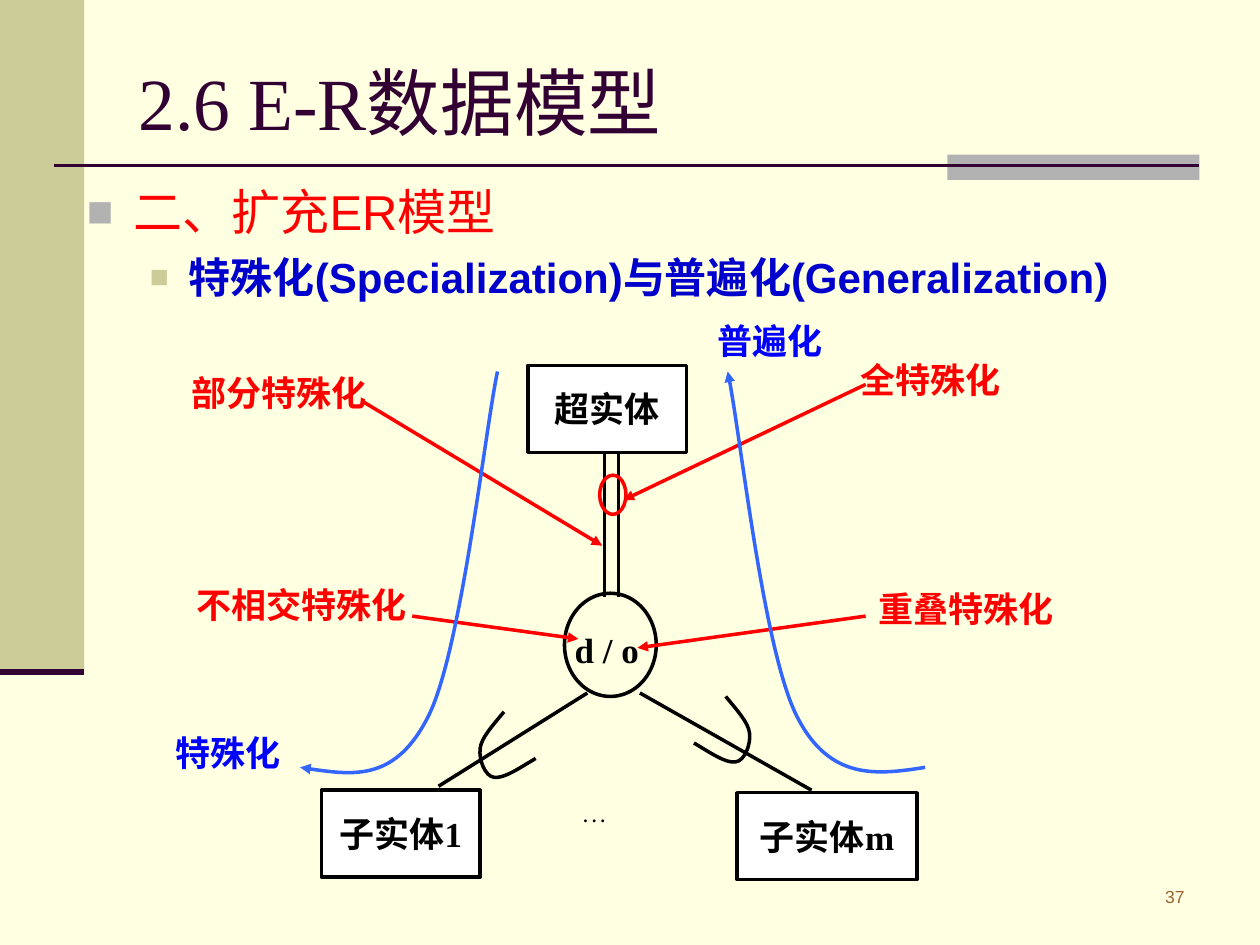
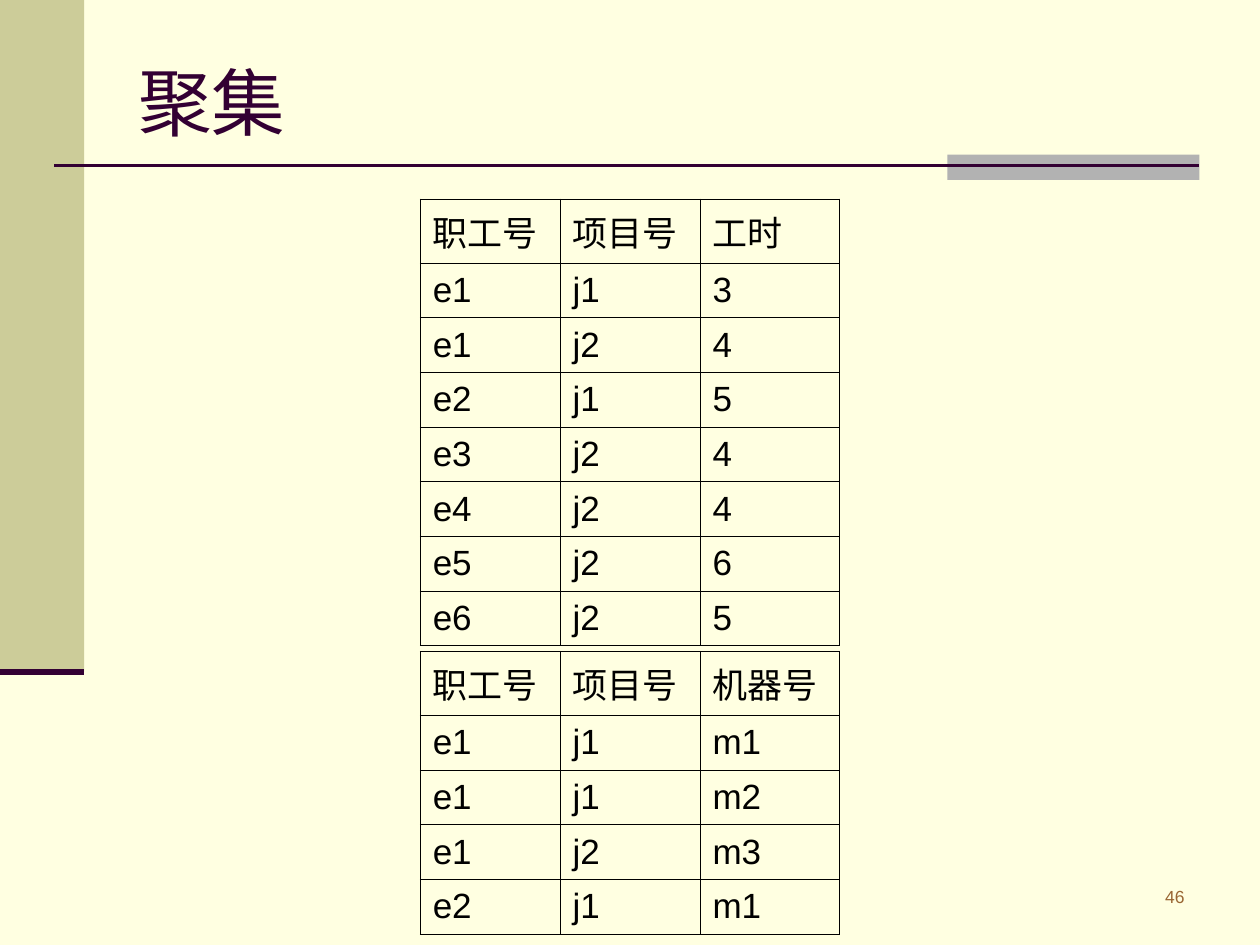
import dataclasses
from typing import Optional

import pptx
import pptx.dml.color
import pptx.enum.shapes
import pptx.enum.text
import pptx.oxml
import pptx.oxml.ns
import pptx.shapes.base
import pptx.slide
import pptx.text.text
import pptx.util
from lxml import etree

Cm = pptx.util.Cm
Pt = pptx.util.Pt
qn = pptx.oxml.ns.qn
ALIGN = pptx.enum.text.PP_ALIGN
ANCHOR = pptx.enum.text.MSO_ANCHOR
SHAPE = pptx.enum.shapes.MSO_SHAPE
Point = tuple[float, float]

COLORS = {
    "paper": "FFFFE1", "band": "CCCC99", "tab": "B2B2B2", "plum": "330033",
    "page": "996633", "red": "FF0000", "navy": "0000CC", "blue": "0000FF",
    "curve": "3366FF", "black": "000000", "white": "FFFFFF",
}
SANS, SERIF = "Arial", "Times New Roman"
STROKE = 2
BOX_HEIGHT = 1.75


@dataclasses.dataclass(frozen=True)
class Box:
    left: float
    top: float
    width: float
    height: float = BOX_HEIGHT

    def emu(self) -> tuple:
        return Cm(self.left), Cm(self.top), Cm(self.width), Cm(self.height)


@dataclasses.dataclass(frozen=True)
class Style:
    size: float
    color: str
    font: str = SERIF
    bold: bool = False
    align: Optional[ALIGN] = None
    anchor: ANCHOR = ANCHOR.TOP


@dataclasses.dataclass(frozen=True)
class Label:
    text: str
    box: Box
    style: Style


@dataclasses.dataclass(frozen=True)
class Line:
    start: Point
    end: Point
    color: str = "black"
    width: float = STROKE
    arrow: bool = False


@dataclasses.dataclass(frozen=True)
class Bullet:
    text: str
    style: Style
    color: str
    percent: int
    margin: float
    hanging: float
    before: float = 0


TITLE = Style(42, "plum", anchor=ANCHOR.MIDDLE)
PAGE = Style(10, "page", SANS, align=ALIGN.RIGHT)
ENTITY = Style(20, "black", bold=True, align=ALIGN.CENTER, anchor=ANCHOR.MIDDLE)
KIND = Style(20, "red", bold=True, align=ALIGN.CENTER)
PROCESS = dataclasses.replace(KIND, color="blue")
DOTS = Style(10, "black", bold=True, align=ALIGN.JUSTIFY)
CELL = Style(20, "black", SANS, anchor=ANCHOR.MIDDLE)


# Basic drawing helpers
def rgb(name: str) -> pptx.dml.color.RGBColor:
    return pptx.dml.color.RGBColor.from_string(COLORS[name])


def style_paragraph(p: pptx.text.text._Paragraph, style: Style) -> None:
    if style.align is not None:
        p.alignment = style.align
    for r in p.runs:
        r.font.name = style.font
        r.font.size = Pt(style.size)
        r.font.bold = style.bold
        r.font.color.rgb = rgb(style.color)


def set_text(tf: pptx.text.text.TextFrame, text: str, style: Style) -> None:
    tf.text = text
    tf.word_wrap = True
    tf.vertical_anchor = style.anchor
    style_paragraph(tf.paragraphs[0], style)


def add_label(s: pptx.slide.Slide, label: Label) -> None:
    sp = s.shapes.add_textbox(*label.box.emu())
    set_text(sp.text_frame, label.text, label.style)


def set_stroke(sp: pptx.shapes.base.BaseShape, color: str, width: float,
               arrow: bool = False) -> None:
    sp.line.color.rgb = rgb(color)
    sp.line.width = Pt(width)
    if arrow:
        ln = sp._element.spPr.find(qn("a:ln"))
        etree.SubElement(ln, qn("a:tailEnd"), type="triangle")


def add_shape(s: pptx.slide.Slide, kind: SHAPE, box: Box, fill: Optional[str],
              line: Optional[str] = None) -> pptx.shapes.base.BaseShape:
    sp = s.shapes.add_shape(kind, *box.emu())
    sp.shadow.inherit = False
    if fill:
        sp.fill.solid()
        sp.fill.fore_color.rgb = rgb(fill)
    else:
        sp.fill.background()
    if line:
        set_stroke(sp, line, STROKE)
    else:
        sp.line.fill.background()
    return sp


def add_line(s: pptx.slide.Slide, line: Line) -> None:
    ends = [Cm(v) for v in line.start + line.end]
    cxn = s.shapes.add_connector(pptx.enum.shapes.MSO_CONNECTOR.STRAIGHT, *ends)
    set_stroke(cxn, line.color, line.width, line.arrow)
    etree.SubElement(cxn._element.spPr, qn("a:effectLst"))


def add_curve(s: pptx.slide.Slide, points: list[Point], color: str,
              arrow: bool = False) -> None:
    """Draw a start point followed by groups of three cubic control points."""
    pts = [(Cm(x), Cm(y)) for x, y in points]
    builder = s.shapes.build_freeform(*pts[0])
    builder.add_line_segments(pts[1:], close=False)
    sp = builder.convert_to_shape()
    sp.shadow.inherit = False
    sp.fill.background()
    set_stroke(sp, color, STROKE, arrow)
    outline = next(sp._element.iter(qn("a:path")))
    segments = outline.findall(qn("a:lnTo"))
    for i in range(0, len(segments), 3):
        bezier = etree.SubElement(outline, qn("a:cubicBezTo"))
        for segment in segments[i:i + 3]:
            bezier.append(segment[0])
            outline.remove(segment)


def mirror(points: list[Point], total: float, dy: float = 0) -> list[Point]:
    return [(total - x, y + dy) for x, y in points]


def add_bullets(s: pptx.slide.Slide, box: Box, bullets: list[Bullet]) -> None:
    tf = s.shapes.add_textbox(*box.emu()).text_frame
    tf.word_wrap = True
    for i, b in enumerate(bullets):
        p = tf.add_paragraph() if i else tf.paragraphs[0]
        p.text = b.text
        if b.before:
            p.space_before = Pt(b.before)
        pPr = p._p.get_or_add_pPr()
        pPr.set("marL", str(Cm(b.margin)))
        pPr.set("indent", str(-Cm(b.hanging)))
        clr = etree.SubElement(pPr, qn("a:buClr"))
        etree.SubElement(clr, qn("a:srgbClr"), val=COLORS[b.color])
        etree.SubElement(pPr, qn("a:buSzPct"), val=str(b.percent * 1000))
        etree.SubElement(pPr, qn("a:buFont"), typeface=SANS)
        etree.SubElement(pPr, qn("a:buChar"), char="■")
        style_paragraph(p, b.style)


def set_borders(tcPr: etree._Element) -> None:
    for side in ("a:lnL", "a:lnR", "a:lnT", "a:lnB"):
        ln = etree.SubElement(tcPr, qn(side), w=str(Pt(0.45)))
        fill = etree.SubElement(ln, qn("a:solidFill"))
        etree.SubElement(fill, qn("a:srgbClr"), val=COLORS["black"])


def add_grid(s: pptx.slide.Slide, top: float, rows: list[str]) -> None:
    cells = [row.split() for row in rows]
    col_width, header_height, row_height = 2.82, 1.29, 1.04
    n_cols = len(cells[0])
    box = Box(8.47, top, n_cols * col_width,
              header_height + (len(cells) - 1) * row_height)
    table = s.shapes.add_table(len(cells), n_cols, *box.emu()).table
    table.first_row = table.horz_banding = False
    for col in table.columns:
        col.width = Cm(col_width)
    for i, values in enumerate(cells):
        table.rows[i].height = Cm(row_height if i else header_height)
        for j, value in enumerate(values):
            cell = table.cell(i, j)
            cell.text = value
            cell.vertical_anchor = CELL.anchor
            style_paragraph(cell.text_frame.paragraphs[0], CELL)
            set_borders(cell._tc.get_or_add_tcPr())
            cell.fill.background()


# Frame shared by all slides
def new_slide(prs: pptx.Presentation, title: str, page: int) -> pptx.slide.Slide:
    s = prs.slides.add_slide(prs.slide_layouts[6])
    s.background.fill.solid()
    s.background.fill.fore_color.rgb = rgb("paper")
    add_shape(s, SHAPE.RECTANGLE, Box(0, 0, 1.7, 13.54), "band")
    add_shape(s, SHAPE.RECTANGLE, Box(19.1, 3.12, 5.08, 0.51), "tab")
    add_line(s, Line((1.09, 3.33), (24.18, 3.33), "plum", 1.5))
    add_line(s, Line((0, 13.54), (1.7, 13.54), "plum", 3.5))
    add_label(s, Label(str(page), Box(20.9, 17.73, 3.23, 0.89), PAGE))
    add_label(s, Label(title, Box(2.54, 0.76, 21.59, 2.57), TITLE))
    return s


# Specialization and generalization diagram
def build_er_slide(prs: pptx.Presentation) -> None:
    s = new_slide(prs, "2.6 E-R数据模型", 37)
    add_bullets(s, Box(1.5, 3.53, 22.63, 14), [
        Bullet("二、扩充ER模型", Style(28, "red", SANS), "tab", 90, 0.95, 0.95),
        Bullet("特殊化(Specialization)与普遍化(Generalization)",
               Style(24, "navy", SANS, bold=True), "band", 75, 2.06, 0.79, 6.5),
    ])

    entities = [
        Label("超实体", Box(10.64, 7.37, 3.2), ENTITY),
        Label("子实体1", Box(6.48, 15.93, 3.2), ENTITY),
        Label("子实体m", Box(14.86, 15.98, 3.63), ENTITY),
    ]
    for entity in entities:
        sp = add_shape(s, SHAPE.RECTANGLE, entity.box, "white", "black")
        set_text(sp.text_frame, entity.text, entity.style)

    # Links between the entities
    add_shape(s, SHAPE.OVAL, Box(11.38, 11.96, 1.85, 2.08), None, "black")
    links = [Line((11.84, 13.97), (8.84, 15.85)), Line((12.9, 13.97), (16.36, 15.93))]
    links += [Line((x, 12.04), (x, 9.12)) for x in (12.19, 12.47)]
    for link in links:
        add_line(s, link)
    subset = [(10.16, 14.35), (9.93, 14.63), (9.7, 14.88), (9.68, 15.09),
              (9.65, 15.32), (9.78, 15.65), (9.96, 15.67),
              (10.16, 15.7), (10.46, 15.49), (10.8, 15.29)]
    add_curve(s, subset, "black")
    add_curve(s, mirror(subset, 24.79, -0.31), "black")

    # Pointers from the kinds of specialization
    add_shape(s, SHAPE.OVAL, Box(12.09, 9.58, 0.53, 0.79), None, "red")
    pointers = [
        ((17.45, 7.75), (12.57, 10.08)), ((7.29, 8.08), (12.14, 11)),
        ((8.31, 12.42), (11.66, 12.88)), ((17.45, 12.42), (12.85, 13.06)),
    ]
    for start, end in pointers:
        add_line(s, Line(start, end, "red", arrow=True))

    # Direction of each process: downwards on the left, upwards on the right
    downward = [(10.03, 7.49), (9.78, 8.66), (9.3, 13.11), (8.64, 14.43),
                (7.98, 15.75), (7.01, 15.62), (6.05, 15.47)]
    add_curve(s, downward, "curve", arrow=True)
    add_curve(s, mirror(downward[::-1], 24.7), "curve", arrow=True)

    labels = [
        Label("d / o", Box(10.85, 12.22, 2.77), ENTITY),
        Label(". . .", Box(11.51, 16.1, 1.73, 1.5), DOTS),
        Label("部分特殊化", Box(3.51, 7.37, 4.22), KIND),
        Label("全特殊化", Box(16.92, 7.11, 3.68), KIND),
        Label("不相交特殊化", Box(3.51, 11.63, 5.13), KIND),
        Label("重叠特殊化", Box(17.22, 11.71, 4.5), KIND),
        Label("特殊化", Box(2.9, 14.63, 3.4), PROCESS),
        Label("普遍化", Box(13.92, 6.32, 3.2, 1.19), PROCESS),
    ]
    for label in labels:
        add_label(s, label)


# Aggregation tables
def build_aggregation_slide(prs: pptx.Presentation) -> None:
    s = new_slide(prs, "聚集", 46)
    add_grid(s, 4.01, ["职工号 项目号 工时", "e1 j1 3", "e1 j2 4", "e2 j1 5",
                       "e3 j2 4", "e4 j2 4", "e5 j2 6", "e6 j2 5"])
    add_grid(s, 13.13, ["职工号 项目号 机器号", "e1 j1 m1", "e1 j1 m2",
                        "e1 j2 m3", "e2 j1 m1"])


def main() -> None:
    prs = pptx.Presentation()
    prs.slide_width, prs.slide_height = Cm(25.4), Cm(19.05)
    build_er_slide(prs)
    build_aggregation_slide(prs)
    prs.save("out.pptx")


if __name__ == "__main__":
    main()
